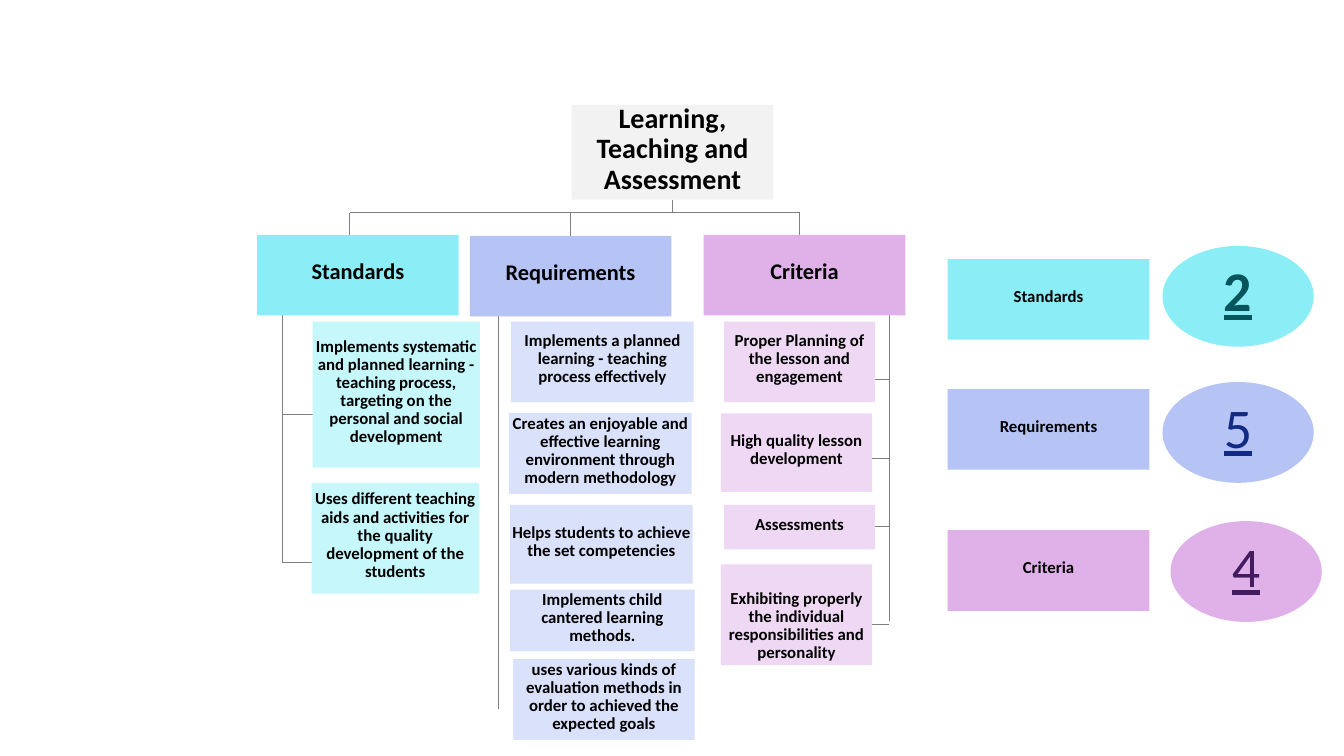
from lxml import etree
from pptx import Presentation
from pptx import util as u
from pptx.dml.color import RGBColor
from pptx.enum import shapes, text
from pptx.oxml.ns import qn

BLACK = RGBColor(0x00, 0x00, 0x00)
GRAY = RGBColor(0x80, 0x80, 0x80)
PALE_GRAY = RGBColor(0xF2, 0xF2, 0xF2)
CYAN = RGBColor(0x8B, 0xEE, 0xF6)
PALE_CYAN = RGBColor(0xC5, 0xF7, 0xFB)
DARK_CYAN = RGBColor(0x07, 0x55, 0x5C)
BLUE = RGBColor(0xB6, 0xC3, 0xF5)
PALE_BLUE = RGBColor(0xDA, 0xE1, 0xFA)
DARK_BLUE = RGBColor(0x13, 0x2A, 0x84)
PINK = RGBColor(0xE0, 0xB1, 0xE9)
PALE_PINK = RGBColor(0xEF, 0xD8, 0xF4)
DARK_PURPLE = RGBColor(0x42, 0x1C, 0x5E)

HEADER_SIZE = (2, 0.8)

# Item boxes are (left, top, width, height) from the corner of the column header.
# Ticks join the rail to the items: (distance below the header top, item index).
COLUMNS = [
    dict(at=(2.55, 2.33), title="Standards", fill=CYAN, item_fill=PALE_CYAN,
         rail=0.25, rail_end=3.25, ticks=[(1.78, 0), (3.25, 1)],
         items=[
             ((0.55, 0.86, 1.66, 1.45), "Implements systematic and planned learning - teaching "
              "process, targeting on the personal and social development"),
             ((0.54, 2.46, 1.66, 1.1), "Uses different teaching aids and activities for "
              "the quality development of the students"),
         ]),
    dict(at=(4.66, 2.34), title="Requirements", fill=BLUE, item_fill=PALE_BLUE,
         rail=0.28, rail_end=4.69, ticks=[],
         items=[
             ((0.41, 0.85, 1.81, 0.8),
              "Implements a planned learning - teaching process effectively"),
             ((0.39, 1.76, 1.81, 0.8), "Creates an enjoyable and effective learning "
              "environment through modern methodology"),
             ((0.4, 2.67, 1.81, 0.78), "Helps students to achieve the set competencies"),
             ((0.4, 3.51, 1.83, 0.61), "Implements child cantered learning methods."),
             ((0.43, 4.2, 1.8, 0.8), "uses various kinds of evaluation methods in order to "
              "achieved the expected goals"),
         ]),
    dict(at=(6.98, 2.33), title="Criteria", fill=PINK, item_fill=PALE_PINK,
         rail=1.84, rail_end=3.83, ticks=[(1.43, 0), (2.22, 1), (2.89, 2), (3.86, 3)],
         items=[
             ((0.2, 0.86, 1.5, 0.8), "Proper Planning of the lesson and engagement"),
             ((0.17, 1.77, 1.5, 0.78), "High quality lesson development"),
             ((0.2, 2.68, 1.5, 0.44), "Assessments"),
             ((0.17, 3.27, 1.5, 1),
              "Exhibiting properly the individual responsibilities and personality"),
         ]),
]

# Label, corner of the label, offset of the ellipse, count, fill, count colour, bold count
TOTALS = [
    ("Standards", (9.4, 2.57), (2.13, -0.13), "2", CYAN, DARK_CYAN, True),
    ("Requirements", (9.4, 3.86), (2.13, -0.07), "5", BLUE, DARK_BLUE, False),
    ("Criteria", (9.4, 5.26), (2.21, -0.09), "4", PINK, DARK_PURPLE, False),
]


def style_box(shape, words, size, fill, color=BLACK, bold=True, underline=False):
    """Fill a shape and write centred Calibri text in it."""
    shape.fill.solid()
    shape.fill.fore_color.rgb = fill
    shape.line.fill.background()
    frame = shape.text_frame
    frame.word_wrap = True
    frame.auto_size = text.MSO_AUTO_SIZE.NONE
    frame.vertical_anchor = text.MSO_ANCHOR.MIDDLE
    frame.margin_left = frame.margin_right = frame.margin_top = u.Inches(0.01)
    frame.margin_bottom = u.Inches(0.06)
    paragraph = frame.paragraphs[0]
    paragraph.text = words
    paragraph.alignment = text.PP_ALIGN.CENTER
    paragraph.line_spacing = 0.9
    font = paragraph.font
    font.name, font.size, font.bold, font.underline = "Calibri", u.Pt(size), bold, underline
    font.color.rgb = color


def add_box(slide, box, words, size, fill, kind=shapes.MSO_SHAPE.RECTANGLE, **font):
    """Add a filled shape with text at box (left, top, width, height)."""
    shape = slide.shapes.add_shape(kind, *map(u.Inches, box))
    shape.shadow.inherit = False
    style_box(shape, words, size, fill, **font)
    return shape


def add_line(slide, x1, y1, x2, y2):
    """Add a thin gray line without a shadow."""
    line = slide.shapes.add_connector(
        shapes.MSO_CONNECTOR.STRAIGHT, *map(u.Inches, (x1, y1, x2, y2)))
    line.line.color.rgb = GRAY
    line.line.width = u.Pt(0.5)
    etree.SubElement(line._element.spPr, qn("a:effectLst"))


def add_root(slide, box):
    """Turn the title into the root box and hang the three branches from it."""
    left, top, width, height = box
    title = slide.shapes.title
    title.left, title.top, title.width, title.height = map(u.Inches, box)
    style_box(title, "Learning, Teaching and Assessment", 20, PALE_GRAY)
    middle, bottom = left + width / 2, top + height
    bus = bottom + 0.13
    drops = (middle - 3.2, middle - 1.01, middle + 1.26)
    add_line(slide, middle, bottom, middle, bus)
    add_line(slide, drops[0], bus, drops[-1], bus)
    for x in drops:
        add_line(slide, x, bus, x, bus + 0.24)


def add_column(slide, at, title, fill, item_fill, rail, rail_end, ticks, items):
    """Add a header at the given corner with its rail, ticks and items."""
    left, top = at
    rail_x = left + rail
    add_line(slide, rail_x, top + HEADER_SIZE[1], rail_x, top + rail_end)
    for drop, index in ticks:
        x, _, width, _ = items[index][0]
        near_edge = x if rail < x else x + width
        add_line(slide, rail_x, top + drop, left + near_edge, top + drop)
    add_box(slide, (*at, *HEADER_SIZE), title, 16, fill)
    return [add_box(slide, (left + x, top + y, width, height), words, 12, item_fill)
            for (x, y, width, height), words in items]


def add_total(slide, label, at, offset, count, fill, color, bold):
    """Add a label at the given corner and its count in an ellipse beside it."""
    add_box(slide, (*at, *HEADER_SIZE), label, 12, fill)
    add_box(slide, (at[0] + offset[0], at[1] + offset[1], 1.5, 1), count, 40, fill,
            shapes.MSO_SHAPE.OVAL, color=color, bold=bold, underline=True)


def main():
    """Build the slide and save it."""
    presentation = Presentation()
    presentation.slide_width = u.Inches(13.33)
    presentation.slide_height = u.Inches(7.5)
    slide = presentation.slides.add_slide(presentation.slide_layouts.get_by_name("Title Only"))
    add_root(slide, (5.67, 1.04, 2, 0.94))
    for column in COLUMNS:
        boxes = add_column(slide, **column)
    # The last criterion sits low in its box
    frame = boxes[-1].text_frame
    frame.vertical_anchor = text.MSO_ANCHOR.BOTTOM
    frame.margin_bottom = u.Inches(0.03)
    for total in TOTALS:
        add_total(slide, *total)
    presentation.save("out.pptx")


main()
